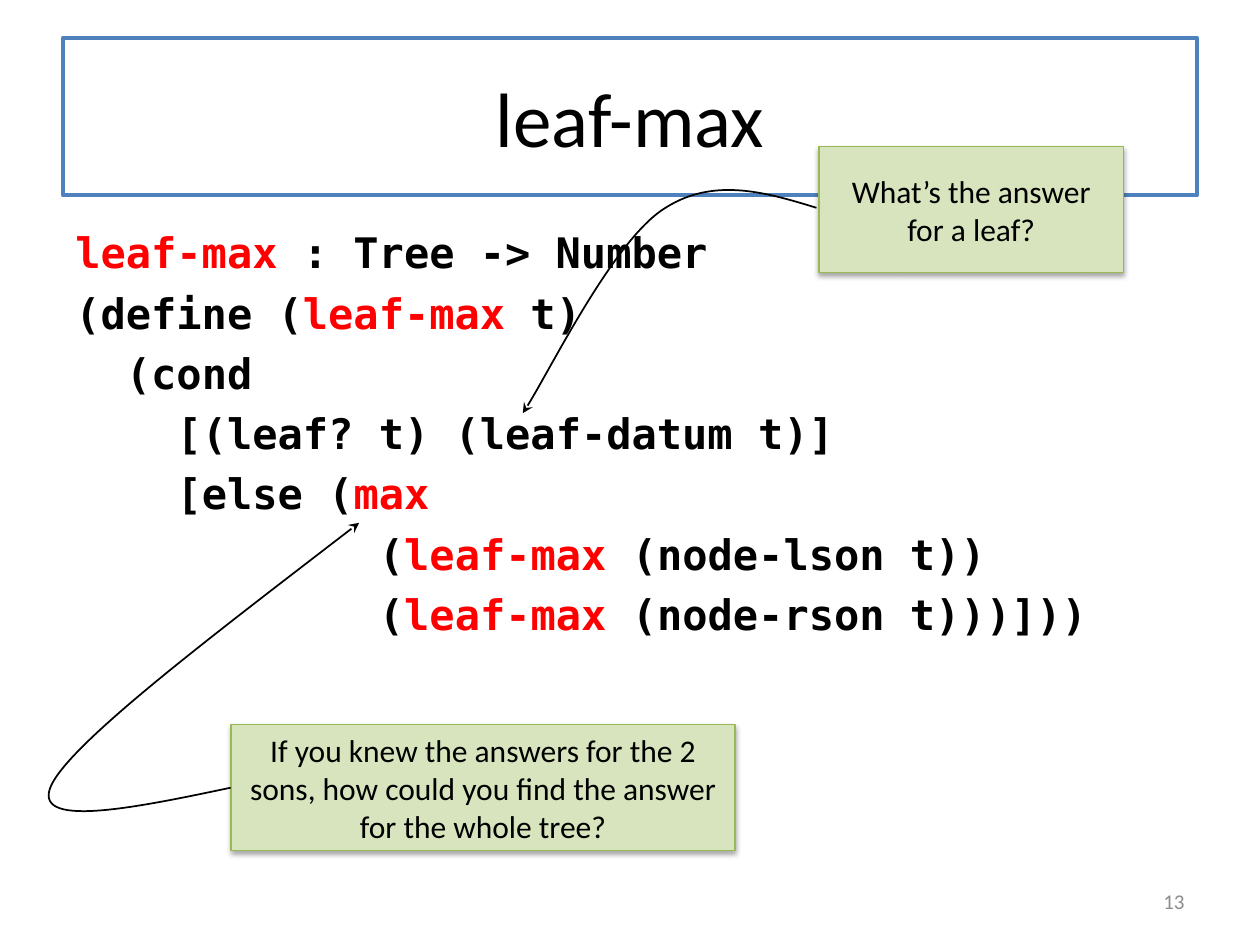
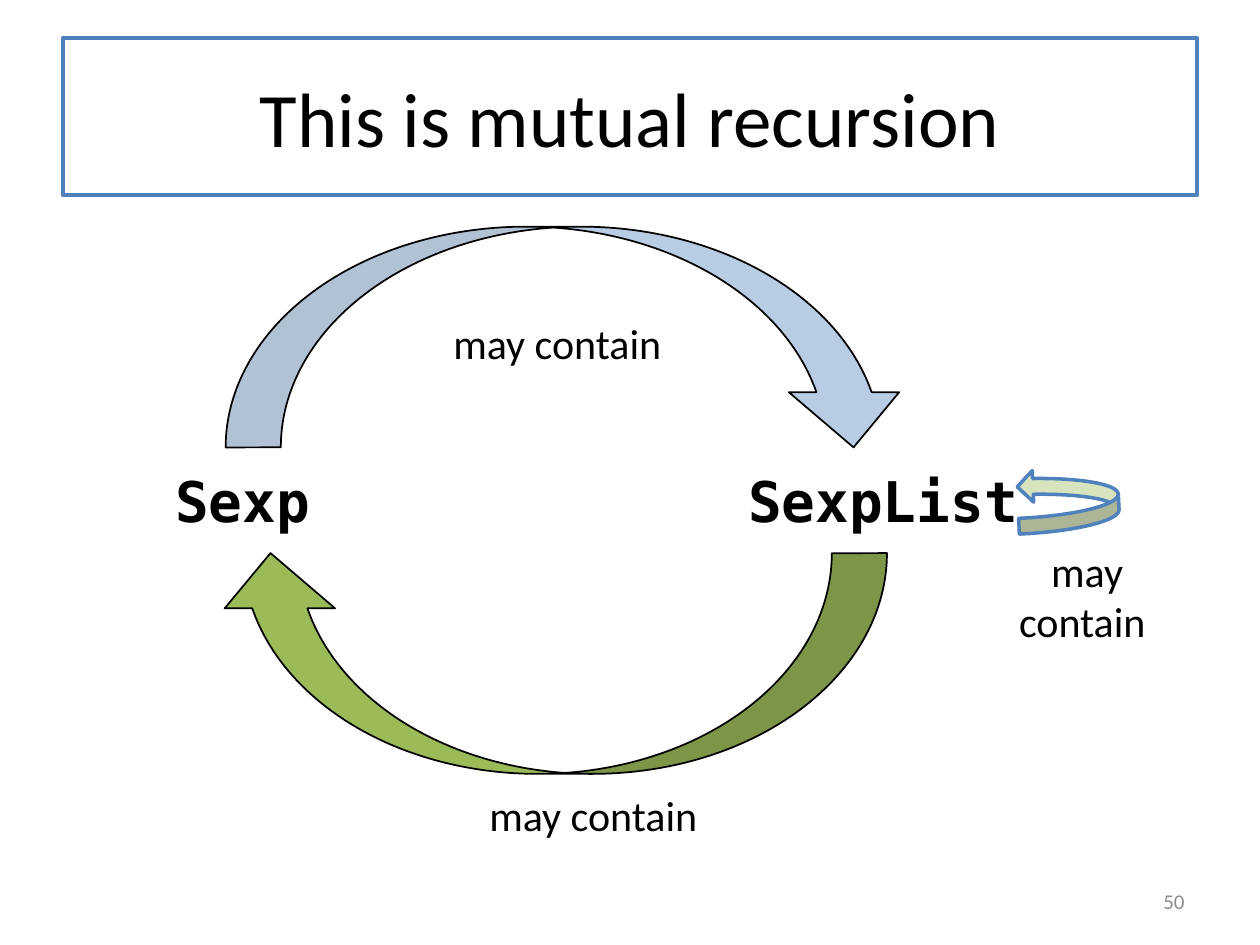
from dataclasses import dataclass

from lxml import etree
from pptx import Presentation
from pptx.dml.color import RGBColor
from pptx.enum.shapes import MSO_SHAPE
from pptx.enum.text import MSO_ANCHOR, PP_ALIGN
from pptx.oxml.ns import qn
from pptx.util import Cm, Pt

RECT = MSO_SHAPE.RECTANGLE
DOWN = MSO_SHAPE.CURVED_DOWN_ARROW
UP = MSO_SHAPE.CURVED_UP_ARROW
LEFT, MID, RIGHT = PP_ALIGN.LEFT, PP_ALIGN.CENTER, PP_ALIGN.RIGHT
TOP, MIDDLE = MSO_ANCHOR.TOP, MSO_ANCHOR.MIDDLE

HUES = {
    "ink": "000000",
    "paper": "FFFFFF",
    "blue": "4F81BD",
    "green": "9BBB59",
    "pale": "D7E4BD",
    "edge": "98B955",
    "red": "FF0000",
    "grey": "8C8C8C",
}
SANS, MONO = "Calibri", "DejaVu Sans Mono"
CHAR = 0.51  # width in cm of one code character at 24 pt


@dataclass
class Box:
    """Place and size in centimetres."""
    left: float
    top: float
    width: float
    height: float

    def emu(self) -> tuple:
        """Return the four lengths as slide units."""
        return Cm(self.left), Cm(self.top), Cm(self.width), Cm(self.height)


@dataclass
class Type:
    """Look of a text."""
    size: float
    hue: str = "ink"
    face: str = SANS
    bold: bool = False
    align: int = MID


@dataclass
class Note:
    """A callout and the points of the curve that leaves it."""
    text: str
    box: Box
    curve: list


@dataclass
class Arrow:
    """A curved block arrow."""
    kind: int
    box: Box
    fill: str
    line: str
    weight: float
    turn: float = 0
    alpha: int = 100


@dataclass
class Label:
    """A free text with its look."""
    text: str
    box: Box
    style: Type


HEAD, TAG, WORD = Type(44), Type(18), Type(24)
CODE = Type(24, face=MONO, bold=True, align=LEFT)
NAME = Type(32, face=MONO, bold=True, align=LEFT)
PAGE = Type(12, "grey", align=RIGHT)
TITLE_BOX = Box(1.27, 0.76, 22.86, 3.18)
BODY_BOX = Box(1.27, 4.45, 22.86, 12.57)
PAGE_BOX = Box(18.2, 17.65, 5.93, 1.02)

# Indent in characters, then text; parts between bars are red.
LINES = [
    (0, "|leaf-max| : Tree -> Number"),
    (0, "(define (|leaf-max| t)"),
    (2, "(cond"),
    (4, "[(leaf? t) (leaf-datum t)]"),
    (4, "[else (|max|"),
    (12, "(|leaf-max| (node-lson t))"),
    (12, "(|leaf-max| (node-rson t)))]))"),
]
NOTES = [
    Note("What’s the answer for a leaf?", Box(16.51, 2.96, 6.14, 2.54),
         [(16.46, 4.19), (15.39, 3.86), (14.33, 3.56), (13.34, 4.24),
          (12.34, 4.93), (10.97, 7.7), (10.54, 8.33)]),
    Note("If you knew the answers for the 2 sons, how could you find "
         "the answer for the whole tree?", Box(4.66, 14.61, 10.16, 2.54),
         [(4.65, 15.88), (2.62, 16.31), (0.61, 16.71), (1.04, 15.82),
          (1.47, 14.94), (4.37, 12.75), (7.24, 10.54)]),
]
ARROWS = [
    Arrow(DOWN, Box(4.55, 4.57, 13.77, 4.45), "blue", "ink", 1, alpha=40),
    Arrow(DOWN, Box(4.34, 11.15, 13.54, 4.45), "green", "ink", 1, turn=180),
    Arrow(UP, Box(20.9, 9.07, 1.27, 2.03), "pale", "blue", 2, turn=267.4),
]
LABELS = [
    Label("Sexp", Box(3.28, 9.27, 3.3, 1.57), NAME),
    Label("SexpList", Box(14.83, 9.27, 6.1, 1.57), NAME),
    Label("may contain ", Box(7.52, 6.27, 7.62, 1.27), WORD),
    Label("may contain", Box(8.15, 15.8, 7.62, 1.27), WORD),
    Label("may contain ", Box(19.69, 10.87, 4.45, 2.31), WORD),
]


def shade(name: str) -> RGBColor:
    """Look up a colour by name."""
    return RGBColor.from_string(HUES[name])


def dress(para, style: Type) -> None:
    """Give a paragraph its look."""
    para.alignment = style.align
    font = para.font
    font.name, font.size, font.bold = style.face, Pt(style.size), style.bold
    font.color.rgb = shade(style.hue)


def write(shape, text: str, style: Type, anchor=MIDDLE) -> None:
    """Put one wrapped paragraph into a shape."""
    frame = shape.text_frame
    frame.word_wrap = True
    frame.vertical_anchor = anchor
    frame.text = text
    dress(frame.paragraphs[0], style)


def paint(shape, fill: str, line: str, weight: float) -> None:
    """Set a solid fill and an outline."""
    shape.fill.solid()
    shape.fill.fore_color.rgb = shade(fill)
    shape.line.color.rgb = shade(line)
    shape.line.width = Pt(weight)


def start(deck, title: str, page: int):
    """Add a slide with its framed title and page number."""
    slide = deck.slides.add_slide(deck.slide_layouts[5])
    head = slide.shapes.title
    head.left, head.top, head.width, head.height = TITLE_BOX.emu()
    paint(head, "paper", "blue", 2.25)
    write(head, title, HEAD)
    write(slide.shapes.add_textbox(*PAGE_BOX.emu()), str(page), PAGE)
    return slide


def list_code(slide) -> None:
    """Write the program, its names in red."""
    frame = slide.shapes.add_textbox(*BODY_BOX.emu()).text_frame
    frame.word_wrap = True
    for row, (indent, text) in enumerate(LINES):
        para = frame.add_paragraph() if row else frame.paragraphs[0]
        dress(para, CODE)
        para.space_before = Pt(5.6)
        para._p.get_or_add_pPr().set("marL", str(Cm(indent * CHAR)))
        for spot, part in enumerate(text.split("|")):
            if part:
                run = para.add_run()
                run.text = part
                if spot % 2:
                    run.font.color.rgb = shade("red")


def draw_curve(slide, points: list) -> None:
    """Draw a Bezier line through its points, ending in an arrowhead."""
    spots = [(Cm(x), Cm(y)) for x, y in points]
    maker = slide.shapes.build_freeform(*spots[0])
    maker.add_line_segments(spots[1:], close=False)
    shape = maker.convert_to_shape()
    shape.shadow.inherit = False
    shape.fill.background()
    shape.line.color.rgb = shade("ink")
    shape.line.width = Pt(1)
    props = shape._element.spPr
    trace = next(props.iter(qn("a:path")))
    steps = trace.findall(qn("a:lnTo"))
    for first in range(0, len(steps), 3):
        bend = etree.SubElement(trace, qn("a:cubicBezTo"))
        for step in steps[first:first + 3]:
            bend.append(step[0])
            trace.remove(step)
    etree.SubElement(props.find(qn("a:ln")), qn("a:tailEnd"), type="stealth")


def draw_note(slide, note: Note) -> None:
    """Draw a callout with a soft shadow, and its curve."""
    shape = slide.shapes.add_shape(RECT, *note.box.emu())
    shape.shadow.inherit = False
    paint(shape, "pale", "edge", 0.75)
    write(shape, note.text, TAG)
    glow = etree.SubElement(
        shape._element.spPr.find(qn("a:effectLst")), qn("a:outerShdw"),
        blurRad=str(Pt(3.1)), dist=str(Pt(1.8)), dir="5400000", rotWithShape="0")
    tint = etree.SubElement(glow, qn("a:srgbClr"), val=HUES["ink"])
    etree.SubElement(tint, qn("a:alpha"), val="35000")
    draw_curve(slide, note.curve)


def draw_arrow(slide, arrow: Arrow) -> None:
    """Draw a curved block arrow."""
    shape = slide.shapes.add_shape(arrow.kind, *arrow.box.emu())
    shape.shadow.inherit = False
    shape.rotation = arrow.turn
    paint(shape, arrow.fill, arrow.line, arrow.weight)
    if arrow.alpha < 100:
        tint = shape._element.spPr.find(qn("a:solidFill"))[0]
        etree.SubElement(tint, qn("a:alpha"), val=str(arrow.alpha * 1000))


def draw_label(slide, label: Label) -> None:
    """Add a free text."""
    box = slide.shapes.add_textbox(*label.box.emu())
    write(box, label.text, label.style, TOP)


def main() -> None:
    """Build both slides and save them."""
    deck = Presentation()
    deck.slide_width, deck.slide_height = Cm(25.4), Cm(19.05)
    slide = start(deck, "leaf-max", 13)
    list_code(slide)
    for note in NOTES:
        draw_note(slide, note)
    slide = start(deck, "This is mutual recursion", 50)
    for arrow in ARROWS:
        draw_arrow(slide, arrow)
    for label in LABELS:
        draw_label(slide, label)
    deck.save("out.pptx")


main()
